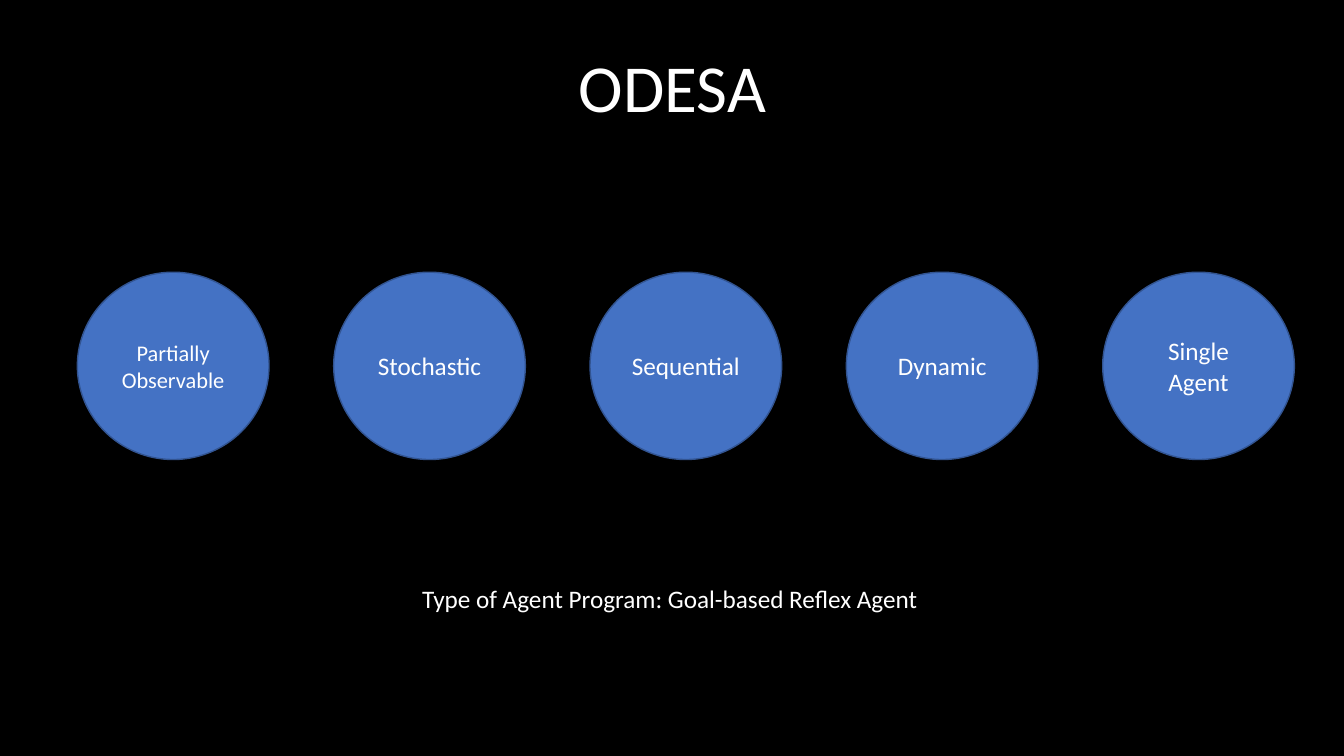
from pptx import Presentation
from pptx.dml.color import RGBColor
from pptx.enum.shapes import MSO_SHAPE
from pptx.enum.text import MSO_ANCHOR, PP_ALIGN
from pptx.util import Cm, Pt

CENTER = PP_ALIGN.CENTER
LEFT = PP_ALIGN.LEFT
MIDDLE = MSO_ANCHOR.MIDDLE
TOP = MSO_ANCHOR.TOP
OVAL = MSO_SHAPE.OVAL
TITLE_ONLY = 5

COLORS = {"background": "000000", "text": "FFFFFF", "circle": "4472C4", "outline": "325491"}
PROPERTIES = [
    ("Partially Observable", 16),
    ("Stochastic", 18),
    ("Sequential", 18),
    ("Dynamic", 18),
    ("Single Agent", 18),
]


def color(name):
    return RGBColor.from_string(COLORS[name])


def write(shape, text, size=18, align=CENTER, anchor=MIDDLE):
    frame = shape.text_frame
    frame.word_wrap = True
    frame.vertical_anchor = anchor
    para = frame.paragraphs[0]
    para.alignment = align
    span = para.add_run()
    span.text = text
    span.font.name = "Calibri"
    span.font.size = Pt(size)
    span.font.color.rgb = color("text")


def add_title(page, box, text):
    title = page.shapes.title
    title.left, title.top, title.width, title.height = map(Cm, box)
    write(title, text, size=48, anchor=TOP)


def add_circle_row(page, box, properties, diameter):
    left, top, width, height = box
    pitch = (width - diameter) / (len(properties) - 1)
    for index, (label, size) in enumerate(properties):
        circle = page.shapes.add_shape(
            OVAL, Cm(left + index * pitch), Cm(top), Cm(diameter), Cm(height))
        circle.shadow.inherit = False
        circle.fill.solid()
        circle.fill.fore_color.rgb = color("circle")
        circle.line.color.rgb = color("outline")
        circle.line.width = Pt(1)
        write(circle, label, size=size)


def add_conclusion(page, box, text):
    conclusion = page.shapes.add_textbox(*map(Cm, box))
    write(conclusion, text, align=LEFT, anchor=TOP)


deck = Presentation()
deck.slide_width, deck.slide_height = Cm(33.87), Cm(19.05)
page = deck.slides.add_slide(deck.slide_layouts[TITLE_ONLY])
page.background.fill.solid()
page.background.fill.fore_color.rgb = color("background")

add_title(page, (14, 1.02, 5.89, 2.31), "ODESA")
add_circle_row(page, (1.95, 6.86, 30.67, 4.72), PROPERTIES, diameter=4.83)
add_conclusion(page, (10.39, 14.58, 13.08, 1.02), "Type of Agent Program: Goal-based Reflex Agent")

deck.save("out.pptx")
